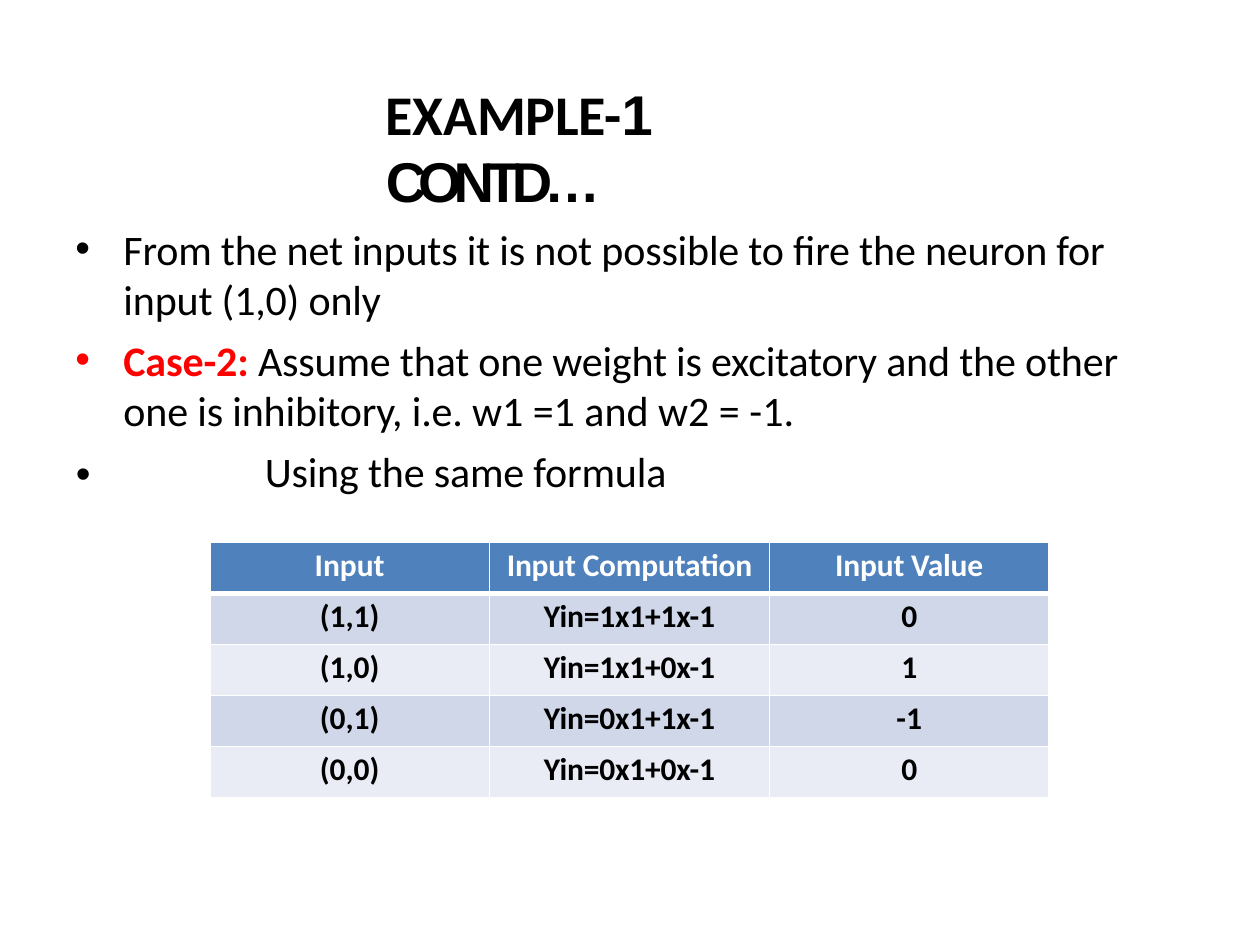
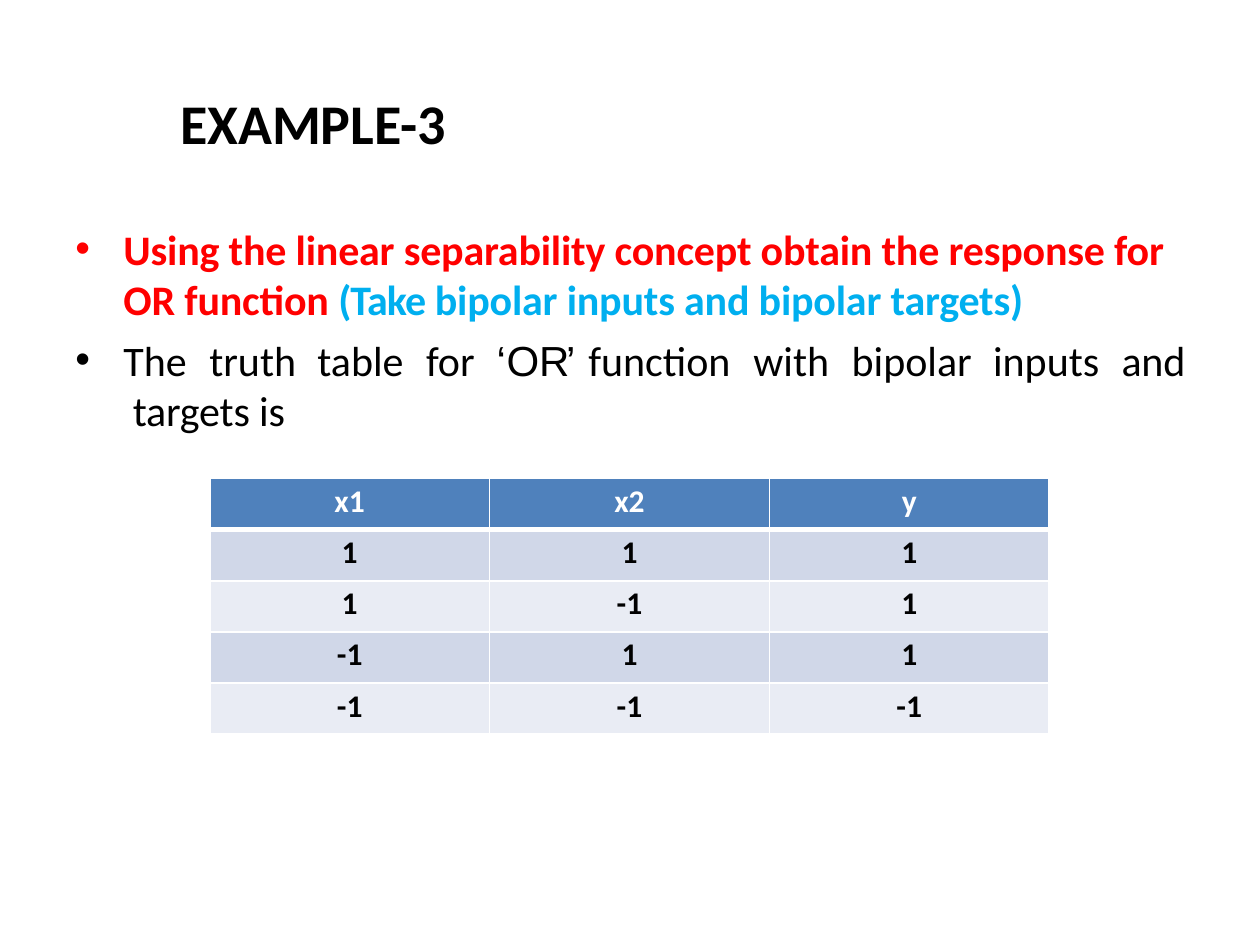
from lxml import etree
from pptx import Presentation
from pptx.dml.color import RGBColor
from pptx.enum import text
from pptx.oxml import ns
from pptx.util import Cm, Pt

BLACK = RGBColor(0x00, 0x00, 0x00)
WHITE = RGBColor(0xFF, 0xFF, 0xFF)
RED = RGBColor(0xFF, 0x00, 0x00)
SKY = RGBColor(0x00, 0xAF, 0xEF)
HEADER_BLUE = RGBColor(0x4F, 0x81, 0xBC)
BANDS = (RGBColor(0xD0, 0xD7, 0xE8), RGBColor(0xE9, 0xEC, 0xF4))

# Run formats; "spc" is letter spacing in points
TITLE = dict(size=Pt(32), bold=True)
BODY = dict(size=Pt(24), spc=-0.1)
LOOSE = dict(size=Pt(24))
RED_BOLD = dict(BODY, color=RED, bold=True)
SKY_BOLD = dict(BODY, color=SKY, bold=True)
QUOTE = dict(size=Pt(24), name="Arial")

# Paragraph formats, in centimetres
BULLET = dict(margin=0.99, indent=-0.97, bullet=True)
INDENTED = dict(margin=3.84)
TITLE_LINE = dict(margin=0.03, before=1.1)
WORD_STOPS = (0.99, 2.72, 4.9, 7.09, 8.51, 10.36, 13.69, 15.67, 18.52, 21.11)

# Content: boxes are (left, top, width, height) in centimetres
SLIDES = [
    dict(
        texts=[
            ((7.75, 1.57, 9.86, 1.42), [
                (TITLE_LINE, [("EXAMPLE-", dict(TITLE, spc=-0.2)),
                              ("1 ", dict(TITLE, spc=-0.2, name="Arial")),
                              ("CONTD…", dict(TITLE, spc=-4.7, name="Arial"))]),
            ]),
            ((1.5, 8.97, 0.38, 1.09), [(dict(margin=0.03), [("•", QUOTE)])]),
            ((1.5, 4.47, 22.43, 5.56), [
                (BULLET, [("From the net inputs it is not possible to fire the neuron for "
                           "input (1,0) only", BODY)]),
                (BULLET, [("Case-2: ", RED_BOLD),
                          ("Assume that one weight is excitatory and the other one is "
                           "inhibitory, i.e. ", BODY),
                          ("w1 =1 and w2 = -1.", LOOSE)]),
                (INDENTED, [("Using the same formula", BODY)]),
            ]),
        ],
        table_top=10.93,
        rows=[
            ("Input", "Input Computation", "Input Value"),
            ("(1,1)", "Yin=1x1+1x-1", "0"),
            ("(1,0)", "Yin=1x1+0x-1", "1"),
            ("(0,1)", "Yin=0x1+1x-1", "-1"),
            ("(0,0)", "Yin=0x1+0x-1", "0"),
        ],
    ),
    dict(
        texts=[
            ((3.6, 1.76, 11.84, 1.42), [(TITLE_LINE, [("EXAMPLE-3", TITLE)])]),
            ((1.5, 4.47, 22.43, 4.34), [
                (BULLET, [("Using the linear separability concept obtain the response for ",
                           RED_BOLD),
                          (" OR function ", RED_BOLD),
                          ("(Take ", dict(SKY_BOLD, spc=-0.5)),
                          ("bipolar inputs and bipolar targets)", SKY_BOLD)]),
                (dict(BULLET, stops=WORD_STOPS), [
                    ("The\ttruth\ttable\tfor\t", LOOSE),
                    ("‘", dict(QUOTE, spc=0.4)),
                    ("O", dict(QUOTE, spc=-3)),
                    ("R’\t", dict(QUOTE, spc=-1.9)),
                    ("function\twith\tbipolar\tinputs\t", LOOSE),
                    ("and ", BODY),
                    (" targets is", BODY)]),
            ]),
        ],
        table_top=9.65,
        rows=[
            ("x1", "x2", "y"),
            ("1", "1", "1"),
            ("1", "-1", "1"),
            ("-1", "1", "1"),
            ("-1", "-1", "-1"),
        ],
    ),
]

TABLE_LEFT, COLUMN_WIDTH, ROW_HEIGHT = 4.23, 5.64, 1.03


def add_run(paragraph, words, color=BLACK, spc=0, **font_values):
    run = paragraph.add_run()
    run.text = words
    for key, value in dict(dict(name="Calibri", bold=False), **font_values).items():
        setattr(run.font, key, value)
    run.font.color.rgb = color
    run.font._element.set("spc", str(round(spc * 100)))


def format_paragraph(paragraph, margin, before, indent=0, bullet=False, stops=()):
    paragraph.space_before = Pt(before)
    props = paragraph._p.get_or_add_pPr()
    props.set("marL", str(Cm(margin)))
    props.set("indent", str(Cm(indent)))
    if bullet:
        etree.SubElement(props, ns.qn("a:buFont"), typeface="Arial")
        etree.SubElement(props, ns.qn("a:buChar"), char="•")
    if stops:
        tab_list = etree.SubElement(props, ns.qn("a:tabLst"))
        for stop in stops:
            etree.SubElement(tab_list, ns.qn("a:tab"), pos=str(Cm(stop)), algn="l")


def set_frame(holder, top):
    values = dict(margin_left=0, margin_right=0, margin_bottom=0, margin_top=Cm(top),
                  vertical_anchor=text.MSO_ANCHOR.TOP, word_wrap=True)
    for key, value in values.items():
        setattr(holder, key, value)


def add_text(slide, box, paragraphs):
    frame = slide.shapes.add_textbox(*map(Cm, box)).text_frame
    set_frame(frame, 0.03)
    for i, (layout, runs) in enumerate(paragraphs):
        paragraph = frame.add_paragraph() if i else frame.paragraphs[0]
        format_paragraph(paragraph, **dict(dict(before=5.8 if i else 1), **layout))
        for words, style in runs:
            add_run(paragraph, words, **style)


def add_borders(cell, row):
    # The rule under the header is heavier than the rest
    props = cell._tc.get_or_add_tcPr()
    widths = dict(lnL=1, lnR=1, lnT=3 if row == 1 else 1, lnB=3 if row == 0 else 1)
    for side, width in widths.items():
        line = etree.SubElement(props, ns.qn("a:" + side), w=str(Pt(width)))
        fill = etree.SubElement(line, ns.qn("a:solidFill"))
        etree.SubElement(fill, ns.qn("a:srgbClr"), val=str(WHITE))


def add_value_table(slide, top, rows):
    columns = len(rows[0])
    table = slide.shapes.add_table(
        len(rows), columns, Cm(TABLE_LEFT), Cm(top),
        Cm(COLUMN_WIDTH * columns), Cm(ROW_HEIGHT * len(rows))).table
    for column in table.columns:
        column.width = Cm(COLUMN_WIDTH)
    for r, values in enumerate(rows):
        table.rows[r].height = Cm(ROW_HEIGHT)
        for c, value in enumerate(values):
            cell = table.cell(r, c)
            set_frame(cell, 0.08)
            add_borders(cell, r)
            cell.fill.solid()
            cell.fill.fore_color.rgb = BANDS[(r - 1) % 2] if r else HEADER_BLUE
            paragraph = cell.text_frame.paragraphs[0]
            paragraph.alignment = text.PP_ALIGN.CENTER
            paragraph.space_before = Pt(2.5)
            add_run(paragraph, value, color=BLACK if r else WHITE, size=Pt(18), bold=True,
                    spc=-0.1 if len(value) > 5 else 0)


def main():
    deck = Presentation()
    deck.slide_width, deck.slide_height = Cm(25.4), Cm(19.05)
    for content in SLIDES:
        slide = deck.slides.add_slide(deck.slide_layouts[6])
        for box, paragraphs in content["texts"]:
            add_text(slide, box, paragraphs)
        add_value_table(slide, content["table_top"], content["rows"])
    deck.save("out.pptx")


if __name__ == "__main__":
    main()
